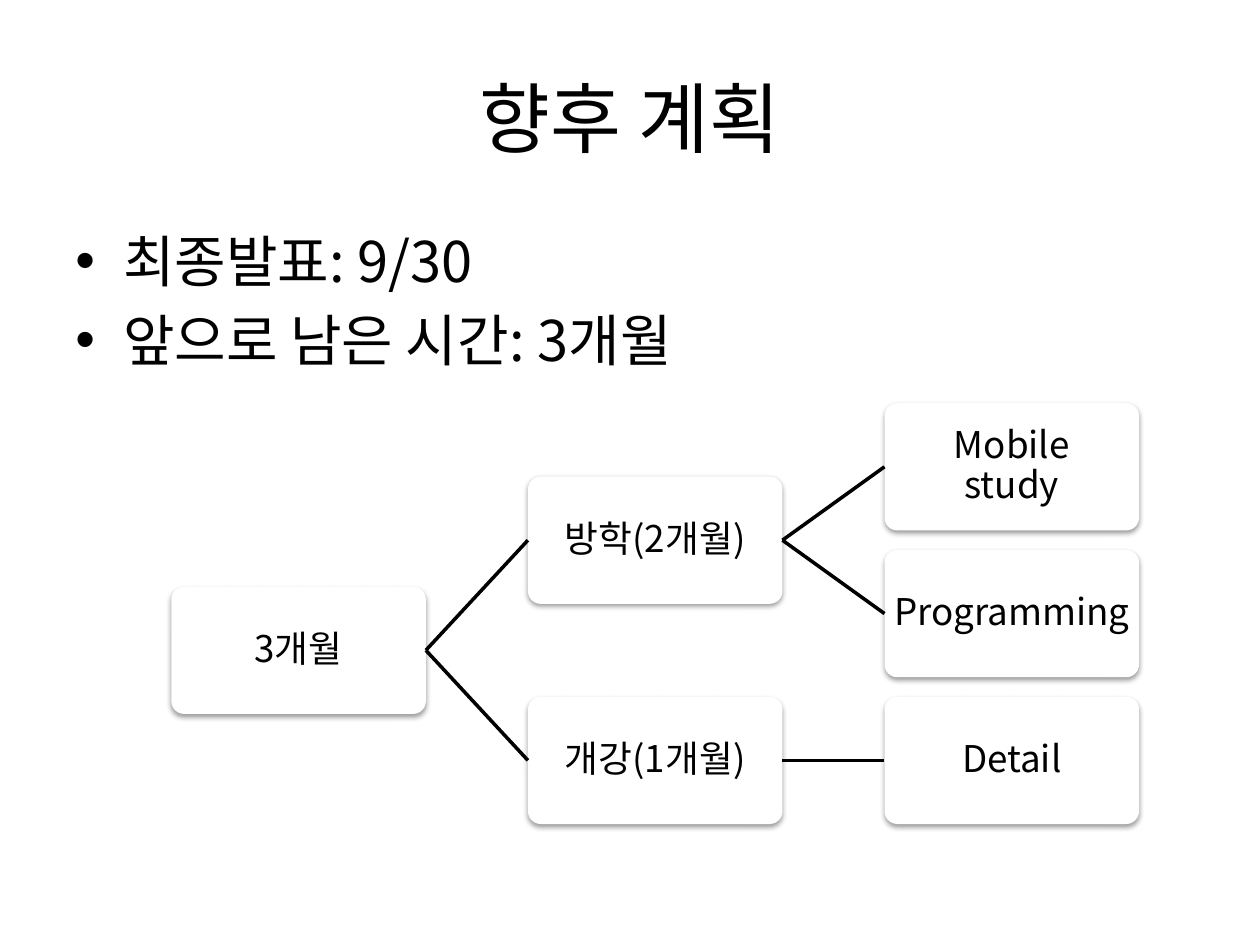
from dataclasses import dataclass

from lxml import etree
from pptx import Presentation
from pptx.dml.color import RGBColor
from pptx.enum.shapes import MSO_CONNECTOR, MSO_SHAPE
from pptx.enum.text import MSO_ANCHOR, PP_ALIGN
from pptx.oxml.ns import qn
from pptx.util import Inches, Pt

ROUNDED = MSO_SHAPE.ROUNDED_RECTANGLE
STRAIGHT = MSO_CONNECTOR.STRAIGHT
CENTER, LEFT = PP_ALIGN.CENTER, PP_ALIGN.LEFT
MIDDLE, TOP = MSO_ANCHOR.MIDDLE, MSO_ANCHOR.TOP
LEFT_SIDE, RIGHT_SIDE = 1, 3


@dataclass(frozen=True)
class Theme:
    font: str = "Noto Sans CJK KR"
    ink: str = "000000"
    paper: str = "FFFFFF"
    title: float = 44
    body: float = 32
    node: float = 21
    line: float = 2


THEME = Theme()

TITLE = "향후 계획"
BULLETS = ["최종발표: 9/30", "앞으로 남은 시간: 3개월"]
PLAN = ("3개월", [
    ("방학(2개월)", [("Mobile\vstudy", []), ("Programming", [])]),
    ("개강(1개월)", [("Detail", [])]),
])

NODE_WIDTH, NODE_HEIGHT = 2.02, 1.01
TREE_LEFT, TREE_TOP = 1.36, 3.2
COLUMN_STEP, ROW_STEP = 2.83, 1.165


def color(value):
    return RGBColor.from_string(value)


def add_bullet(para, indent):
    properties = para._p.get_or_add_pPr()
    properties.set("marL", str(Inches(indent)))
    properties.set("indent", str(-Inches(indent)))
    etree.SubElement(properties, qn("a:buFont"), typeface="Arial")
    etree.SubElement(properties, qn("a:buChar"), char="•")


def write_text(shape, lines, size, align=LEFT, anchor=TOP, inset=None,
               line_spacing=None, space_before=None, bullet_indent=None):
    frame = shape.text_frame
    frame.word_wrap = True
    frame.vertical_anchor = anchor
    if inset is not None:
        frame.margin_left = frame.margin_right = Inches(inset)
        frame.margin_top = frame.margin_bottom = Inches(inset)
    frame.text = "\n".join(lines)
    for para in frame.paragraphs:
        para.alignment = align
        para.line_spacing = line_spacing
        if space_before is not None:
            para.space_before = Pt(space_before)
        if bullet_indent is not None:
            add_bullet(para, bullet_indent)
        for span in para.runs:
            span.font.size = Pt(size)
            span.font.name = THEME.font
            span.font.color.rgb = color(THEME.ink)
            etree.SubElement(span.font._element, qn("a:ea"),
                             typeface=THEME.font)


def add_text(page, left, top, width, height, lines, **text_format):
    box = page.shapes.add_textbox(Inches(left), Inches(top),
                                  Inches(width), Inches(height))
    write_text(box, lines, **text_format)


def add_soft_shadow(shape):
    effects = etree.SubElement(shape._element.spPr, qn("a:effectLst"))
    shadow = etree.SubElement(
        effects, qn("a:outerShdw"), blurRad=str(Pt(3.1)), dist=str(Pt(1.6)),
        dir=str(90 * 60000), rotWithShape="0")
    shade = etree.SubElement(shadow, qn("a:srgbClr"), val=THEME.ink)
    etree.SubElement(shade, qn("a:alpha"), val="38000")


def add_node(page, left, top, label):
    box = page.shapes.add_shape(ROUNDED, Inches(left), Inches(top),
                                Inches(NODE_WIDTH), Inches(NODE_HEIGHT))
    box.adjustments[0] = 0.1
    box.fill.solid()
    box.fill.fore_color.rgb = color(THEME.paper)
    box.line.fill.background()
    add_soft_shadow(box)
    write_text(box, [label], size=THEME.node, align=CENTER, anchor=MIDDLE,
               inset=0.04, line_spacing=0.9)
    return box


def add_link(page, parent, child):
    link = page.shapes.add_connector(STRAIGHT, 0, 0, 0, 0)
    link.begin_connect(parent, RIGHT_SIDE)
    link.end_connect(child, LEFT_SIDE)
    link.line.color.rgb = color(THEME.ink)
    link.line.width = Pt(THEME.line)
    etree.SubElement(link._element.spPr, qn("a:effectLst"))


def add_branch(page, branch, depth=0, first_row=0):
    """Draw a branch; return its box, its row and the next free leaf row."""
    label, children = branch
    boxes, rows, next_row = [], [], first_row
    for child in children:
        box, child_row, next_row = add_branch(page, child, depth + 1, next_row)
        boxes.append(box)
        rows.append(child_row)
    if children:
        row = (rows[0] + rows[-1]) / 2
    else:
        row, next_row = first_row, first_row + 1
    node = add_node(page, TREE_LEFT + depth * COLUMN_STEP,
                    TREE_TOP + row * ROW_STEP, label)
    for box in boxes:
        add_link(page, node, box)
    return node, row, next_row


def main():
    deck = Presentation()
    deck.slide_width, deck.slide_height = Inches(10), Inches(7.5)
    page = deck.slides.add_slide(deck.slide_layouts[6])
    add_text(page, 0.5, 0.3, 9, 1.25, [TITLE], size=THEME.title,
             align=CENTER, anchor=MIDDLE)
    add_text(page, 0.5, 1.75, 9, 4.95, BULLETS, size=THEME.body,
             space_before=6.4, bullet_indent=0.38)
    add_branch(page, PLAN)
    deck.save("out.pptx")


if __name__ == "__main__":
    main()
